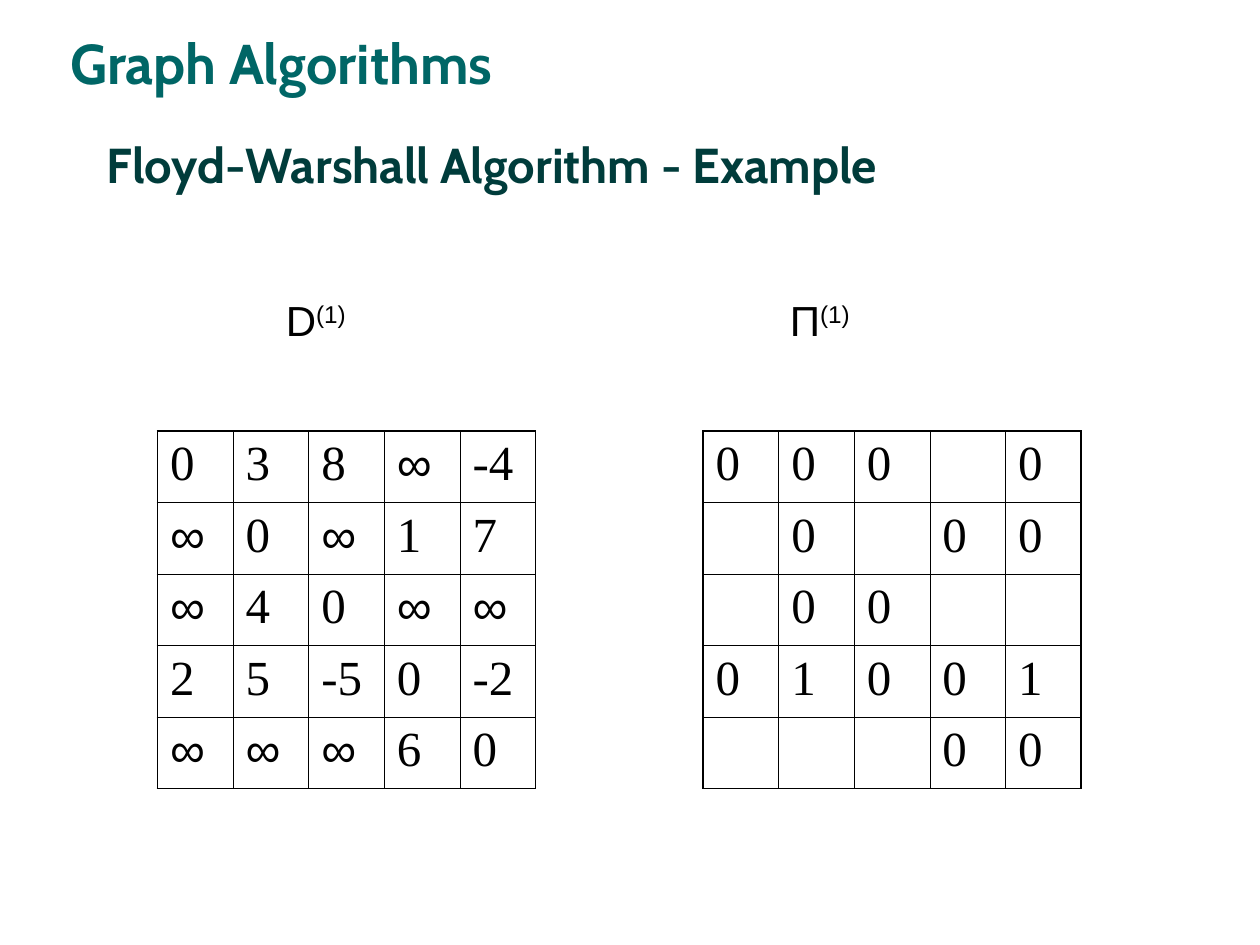
from lxml.etree import SubElement
from pptx import Presentation
from pptx.dml.color import RGBColor
from pptx.enum.text import MSO_ANCHOR
from pptx.oxml import parse_xml
from pptx.oxml.ns import nsdecls, qn
from pptx.util import Inches, Pt

TEAL = RGBColor(0x00, 0x66, 0x66)
DARK = RGBColor(0x00, 0x3C, 0x3B)
BLACK = RGBColor(0, 0, 0)
WIDE, HIGH = Inches(10), Inches(7.5)
SIZE = 5
SIDE, RISE = Inches(3), Inches(2.83)
TOP = Inches(3.42)
THICK, THIN = Pt(1.08), Pt(0.45)

COSTS = ["0 3 8 ∞ -4", "∞ 0 ∞ 1 7", "∞ 4 0 ∞ ∞", "2 5 -5 0 -2", "∞ ∞ ∞ 6 0"]
# A dot stands for an empty cell.
PRIOR = ["0 0 0 . 0", ". 0 . 0 0", ". 0 0 . .", "0 1 0 0 1", ". . . 0 0"]


def style(run, face, size, color, bold=False):
    font = run.font
    font.name, font.size, font.bold = face, Pt(size), bold
    font.color.rgb = color


def add_box(slide, left, top, width, height):
    """Add a text box placed by shares of the slide and return its frame."""
    box = slide.shapes.add_textbox(int(left * WIDE), int(top * HIGH),
                                   int(width * WIDE), int(height * HIGH))
    box.text_frame.word_wrap = True
    return box.text_frame


def add_head(slide, text, place, size, color):
    frame = add_box(slide, *place)
    frame.text = text
    frame.vertical_anchor = MSO_ANCHOR.MIDDLE
    style(frame.paragraphs[0].runs[0], "Cabin", size, color, True)


def add_names(slide, names, stops):
    """Set both matrix names on one line, each at its own tab stop."""
    line = add_box(slide, 0.117, 0.305, 0.57, 0.067).paragraphs[0]
    tabs = SubElement(line._p.get_or_add_pPr(), qn("a:tabLst"))
    for stop in stops:
        SubElement(tabs, qn("a:tab"), pos=str(Inches(stop)), algn="l")
    for name in names:
        for text, shift in (("\t" + name, 0), ("(1)", 30000)):
            run = line.add_run()
            run.text = text
            style(run, "Arial", 24, BLACK)
            if shift:
                run.font._element.set("baseline", str(shift))


def add_edges(cell, row, col):
    """Rule the cell, with a thicker line round the whole matrix."""
    last = SIZE - 1
    outer = {"L": col == 0, "R": col == last, "T": row == 0, "B": row == last}
    for spot, (side, thick) in enumerate(outer.items()):
        edge = parse_xml(
            f'<a:ln{side} {nsdecls("a")} w="{THICK if thick else THIN}">'
            f'<a:solidFill><a:srgbClr val="{BLACK}"/></a:solidFill></a:ln{side}>')
        cell._tc.get_or_add_tcPr().insert(spot, edge)


def add_matrix(slide, left, rows):
    table = slide.shapes.add_table(SIZE, SIZE, left, TOP, SIDE, RISE).table
    table.first_row = table.horz_banding = False
    for row, line in enumerate(rows):
        for col, text in enumerate(line.split()):
            cell = table.cell(row, col)
            cell.fill.background()
            add_edges(cell, row, col)
            if text != ".":
                cell.text_frame.text = text
                face = "Arial" if text == "∞" else "Times New Roman"
                style(cell.text_frame.paragraphs[0].runs[0], face, 28, BLACK)


def main():
    deck = Presentation()
    deck.slide_width, deck.slide_height = WIDE, HIGH
    slide = deck.slides.add_slide(deck.slide_layouts[6])
    add_head(slide, "Graph Algorithms", (0.046, 0.023, 0.416, 0.085), 32, TEAL)
    add_head(slide, "Floyd-Warshall Algorithm - Example",
             (0.075, 0.09, 0.925, 0.167), 28, DARK)
    add_matrix(slide, Inches(1.25), COSTS)
    add_matrix(slide, Inches(5.58), PRIOR)
    add_names(slide, ("D", "Π"), (1, 5))
    deck.save("out.pptx")


if __name__ == "__main__":
    main()
